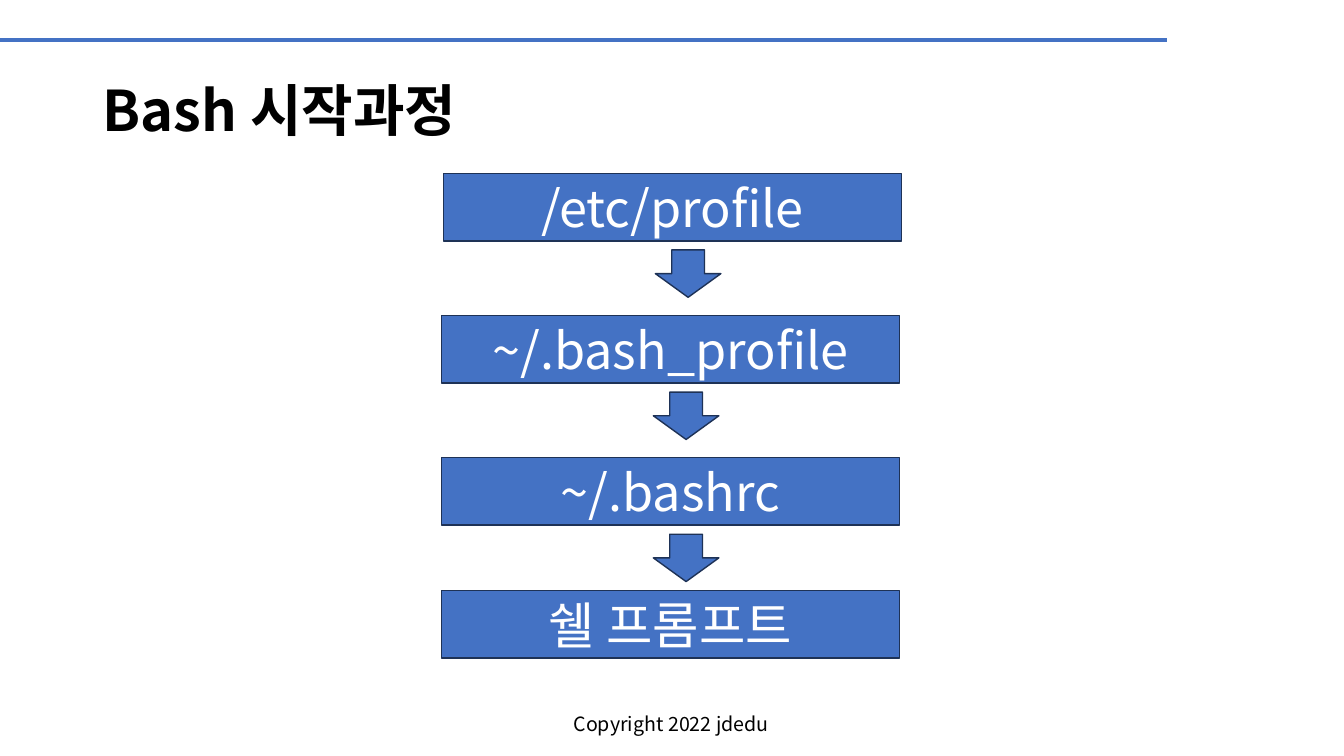
from lxml import etree
from pptx import Presentation
from pptx.dml.color import RGBColor
from pptx.enum import shapes, text
from pptx.oxml import ns
from pptx.util import Inches, Pt

FONT = "Noto Sans CJK KR"
COLORS = {"blue": "4472C4", "edge": "1E3256", "white": "FFFFFF", "black": "000000"}
# Label, left and top of each box, in start-up order
STEPS = [
    ("/etc/profile", 4.4, 1.72),
    ("~/.bash_profile", 4.38, 3.13),
    ("~/.bashrc", 4.38, 4.54),
    ("쉘 프롬프트", 4.38, 5.86),
]
BOX_W, BOX_H = 4.54, 0.67
ARROW_W, ARROW_H = 0.65, 0.47
ARROW_DX, ARROW_DY = 2.1, 0.76


def rgb(name):
    return RGBColor.from_string(COLORS[name])


def write(tf, content, size, color="black", bold=False, align=text.PP_ALIGN.LEFT,
          anchor=text.MSO_ANCHOR.MIDDLE, spacing=None, wrap=True):
    tf.word_wrap = wrap
    tf.vertical_anchor = anchor
    p = tf.paragraphs[0]
    p.alignment = align
    p.line_spacing = spacing
    r = p.add_run()
    r.text = content
    r.font.size = Pt(size)
    r.font.bold = bold
    r.font.name = FONT
    r.font.color.rgb = rgb(color)
    latin = r.font._element.find(ns.qn("a:latin"))
    east_asian = etree.Element(ns.qn("a:ea"), typeface=FONT)
    latin.addnext(east_asian)


def add_block(s, kind, left, top, width, height):
    sp = s.shapes.add_shape(kind, Inches(left), Inches(top), Inches(width), Inches(height))
    sp.shadow.inherit = False
    sp.fill.solid()
    sp.fill.fore_color.rgb = rgb("blue")
    sp.line.color.rgb = rgb("edge")
    sp.line.width = Pt(1)
    return sp


def add_rule(s):
    line = s.shapes.add_connector(shapes.MSO_CONNECTOR.STRAIGHT, Inches(0), Inches(0.4),
                                  Inches(11.57), Inches(0.4))
    line.line.color.rgb = rgb("blue")
    line.line.width = Pt(3)
    etree.SubElement(line._element.spPr, ns.qn("a:effectLst"))


def add_title(s, content):
    title = s.shapes.title
    title.left, title.top = Inches(0.92), Inches(0.4)
    title.width, title.height = Inches(11.5), Inches(1.45)
    write(title.text_frame, content, 40, bold=True, spacing=0.9)


def add_copyright(s, content):
    box = s.shapes.add_textbox(Inches(5.59), Inches(7.01), Inches(2.15), Inches(0.34))
    write(box.text_frame, content, 14, anchor=text.MSO_ANCHOR.TOP, wrap=False)
    box.text_frame.auto_size = text.MSO_AUTO_SIZE.SHAPE_TO_FIT_TEXT


def add_flow(s):
    for i, (label, left, top) in enumerate(STEPS):
        box = add_block(s, shapes.MSO_SHAPE.RECTANGLE, left, top, BOX_W, BOX_H)
        write(box.text_frame, label, 36, color="white", align=text.PP_ALIGN.CENTER)
        if i < len(STEPS) - 1:
            add_block(s, shapes.MSO_SHAPE.DOWN_ARROW, left + ARROW_DX, top + ARROW_DY,
                      ARROW_W, ARROW_H)


def main():
    prs = Presentation()
    prs.slide_width, prs.slide_height = Inches(13.33), Inches(7.5)
    s = prs.slides.add_slide(prs.slide_layouts[5])
    add_rule(s)
    add_copyright(s, "Copyright 2022 jdedu")
    add_title(s, "Bash 시작과정")
    add_flow(s)
    prs.save("out.pptx")


if __name__ == "__main__":
    main()
